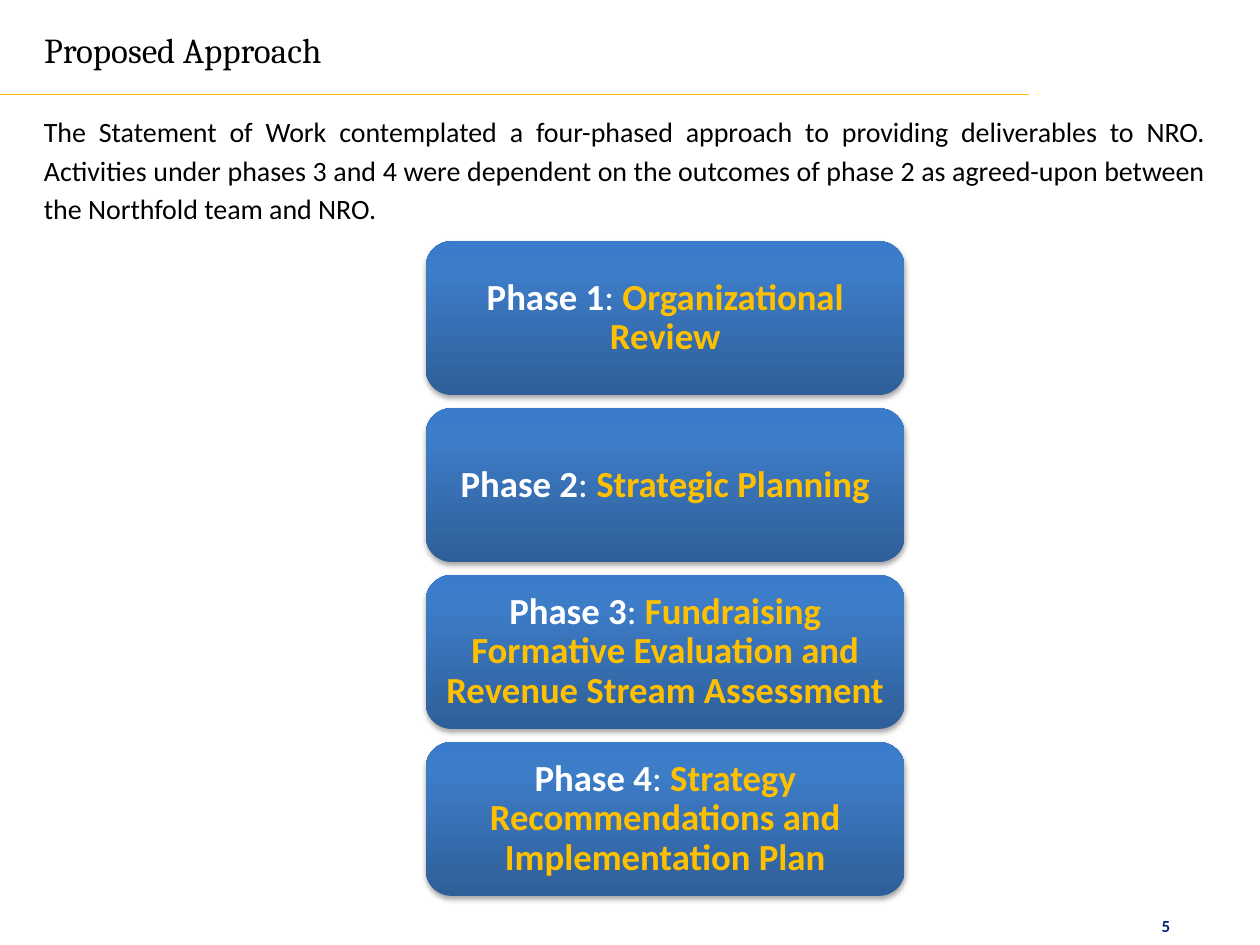
from copy import deepcopy

from lxml import etree
from pptx import Presentation
from pptx.dml.color import RGBColor
from pptx.enum.shapes import MSO_CONNECTOR, MSO_SHAPE
from pptx.enum.text import MSO_ANCHOR as Anchor, MSO_AUTO_SIZE as AutoSize, PP_ALIGN as Align
from pptx.oxml import parse_xml
from pptx.oxml.ns import nsdecls, qn
from pptx.util import Inches, Pt

COLORS = {
    "black": "000000", "white": "FFFFFF", "gold": "FFC000", "navy": "002776",
    "blue_dark": "2F5F99", "blue_mid": "3D7CC7", "blue_light": "3A7CCB",
}
PHASES = [
    "Organizational Review",
    "Strategic Planning",
    "Fundraising Formative Evaluation and Revenue Stream Assessment",
    "Strategy Recommendations and Implementation Plan",
]
SHADOW = (
    f'<a:effectLst {nsdecls("a")}><a:outerShdw blurRad="40000" dist="23000" dir="5400000" '
    f'rotWithShape="0"><a:srgbClr val="{COLORS["black"]}"><a:alpha val="35000"/></a:srgbClr>'
    '</a:outerShdw></a:effectLst>'
)


def add_span(para, text, color, **font_values):
    span = para.add_run()
    span.text = text
    span.font.color.rgb = RGBColor.from_string(COLORS[color])
    for name, value in font_values.items():
        setattr(span.font, name, value)


def set_values(target, **values):
    for name, value in values.items():
        setattr(target, name, value)


deck = Presentation()
set_values(deck, slide_width=Inches(10), slide_height=Inches(7.5))
page = deck.slides.add_slide(deck.slide_layouts[5])

# Title
title = page.shapes.title
set_values(title, left=Inches(0.25), top=Inches(0.17), width=Inches(2.57), height=Inches(0.44))
set_values(title.text_frame, word_wrap=False, auto_size=AutoSize.NONE,
           vertical_anchor=Anchor.MIDDLE)
title_para = title.text_frame.paragraphs[0]
title_para.alignment = Align.LEFT
add_span(title_para, "Proposed Approach", "black", name="Cambria", size=Pt(20))

# Rule under the title
rule = page.shapes.add_connector(
    MSO_CONNECTOR.STRAIGHT, Inches(0), Inches(0.75), Inches(8.17), Inches(0.75))
rule.line.color.rgb = RGBColor.from_string(COLORS["gold"])
rule.line.width = Pt(0.75)
etree.SubElement(rule._element.spPr, qn("a:effectLst"))

# Introduction
intro = page.shapes.add_textbox(Inches(0.25), Inches(0.82), Inches(9.42), Inches(1.03))
intro.text_frame.word_wrap = True
intro_para = intro.text_frame.paragraphs[0]
set_values(intro_para, alignment=Align.JUSTIFY, line_spacing=1.15, space_after=Pt(10))
add_span(
    intro_para,
    "The Statement of Work contemplated a four-phased approach to providing deliverables "
    "to NRO. Activities under phases 3 and 4 were dependent on the outcomes of phase 2 as "
    "agreed-upon between the Northfold team and NRO.",
    "black", name="Calibri", size=Pt(16))

# Phase boxes, stacked at an equal pitch
for index, phase in enumerate(PHASES):
    box = page.shapes.add_shape(
        MSO_SHAPE.ROUNDED_RECTANGLE,
        Inches(3.38), Inches(1.915 + 1.325 * index), Inches(3.8), Inches(1.22))
    box.line.fill.background()

    # Gradient from dark at the bottom to light at the top
    box.fill.gradient()
    box.fill.gradient_angle = 90
    stop_list = box.fill._fill._gradFill.gsLst
    stop_list.append(deepcopy(stop_list[-1]))
    stops = [(0, "blue_dark"), (0.8, "blue_mid"), (1, "blue_light")]
    for stop, (position, color) in zip(box.fill.gradient_stops, stops):
        stop.position = position
        stop.color.rgb = RGBColor.from_string(COLORS[color])
    box._element.spPr.append(parse_xml(SHADOW))

    frame = box.text_frame
    set_values(frame, word_wrap=True, vertical_anchor=Anchor.MIDDLE,
               margin_left=Inches(0.1), margin_right=Inches(0.1),
               margin_top=Inches(0.04), margin_bottom=Inches(0.04))
    para = frame.paragraphs[0]
    set_values(para, alignment=Align.CENTER, line_spacing=0.9)
    phase_font = {"name": "Calibri", "size": Pt(21)}
    add_span(para, f"Phase {index + 1}", "white", bold=True, **phase_font)
    add_span(para, ": ", "white", bold=False, **phase_font)
    add_span(para, phase, "gold", bold=True, **phase_font)

# Page number
number = page.shapes.add_textbox(Inches(9.12), Inches(7.22), Inches(0.38), Inches(0.15))
number.text_frame.word_wrap = True
add_span(number.text_frame.paragraphs[0], "5", "navy", name="Calibri", size=Pt(9.7), bold=True)

deck.save("out.pptx")
